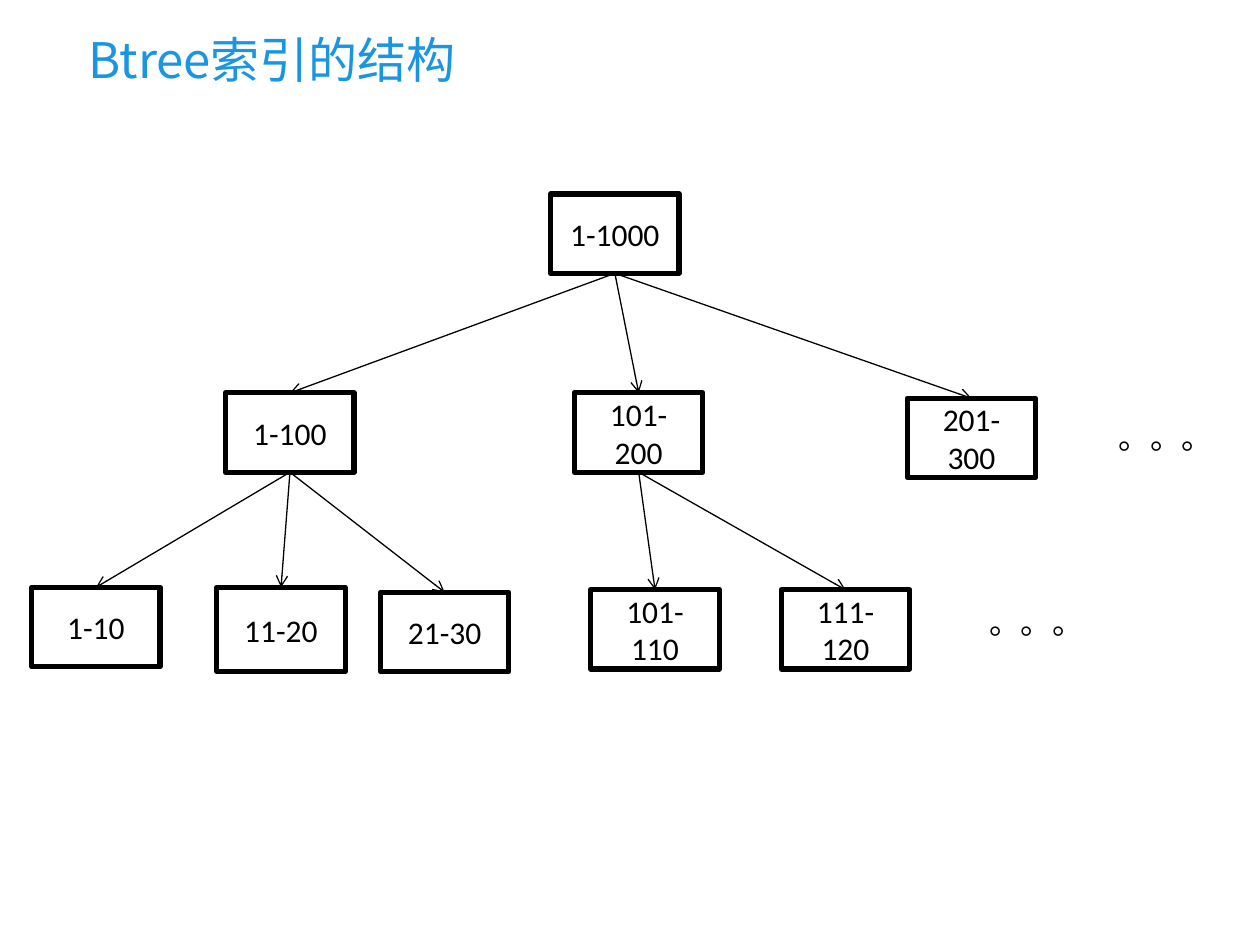
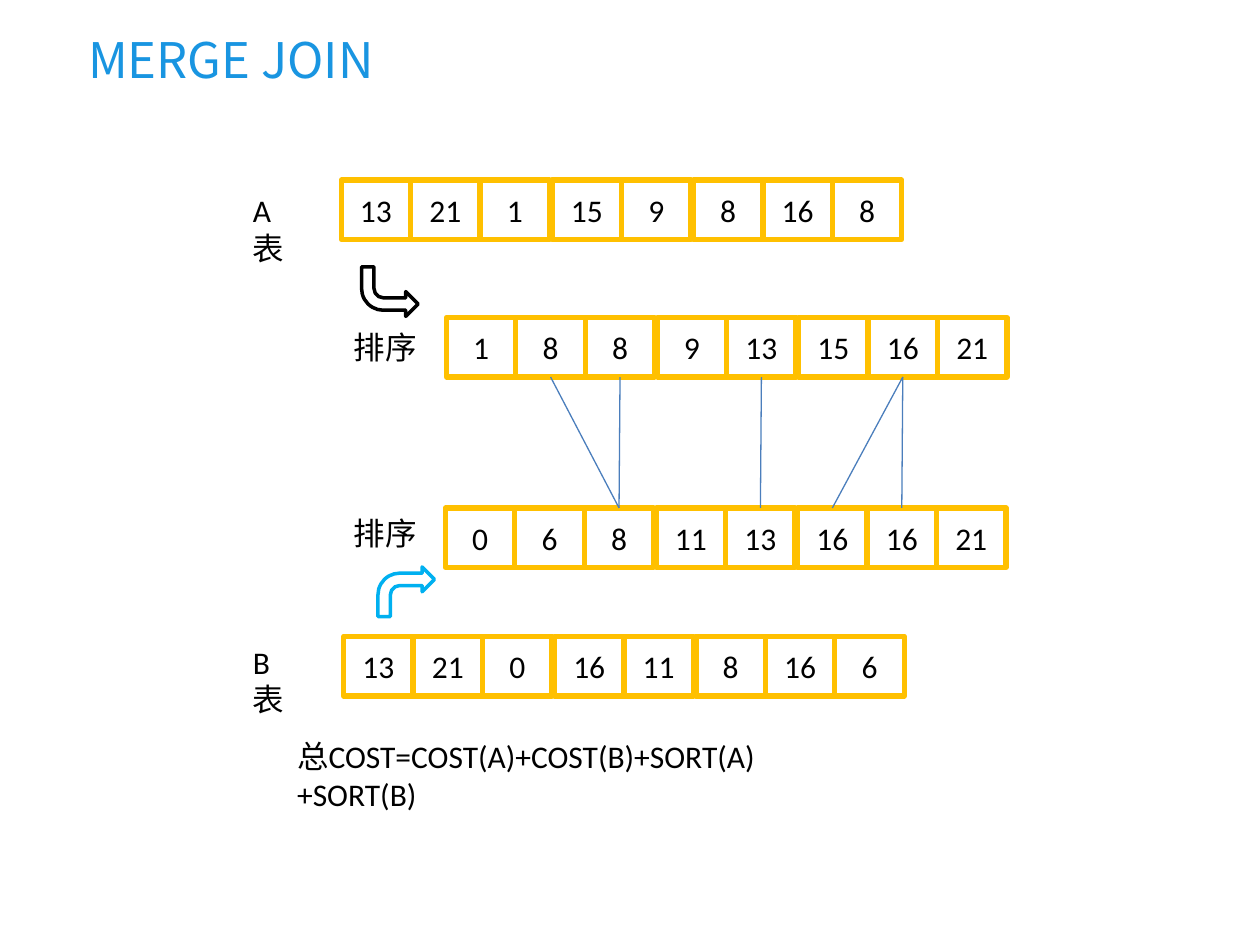
from pptx import Presentation
from pptx.dml.color import RGBColor
from pptx.enum.shapes import MSO_CONNECTOR, MSO_SHAPE
from pptx.enum.text import MSO_ANCHOR, PP_ALIGN
from pptx.oxml.ns import qn
from pptx.util import Cm, Pt
from lxml import etree

BLUE = RGBColor(0x19, 0x95, 0xE1)
SKY = RGBColor(0x00, 0xB0, 0xF0)
STEEL = RGBColor(0x4B, 0x7E, 0xBC)
GOLD = RGBColor(0xFF, 0xC0, 0x00)
BLACK = RGBColor(0x00, 0x00, 0x00)
WHITE = RGBColor(0xFF, 0xFF, 0xFF)
SANS = "Calibri"
HAN = "Noto Sans CJK SC"

RECT = MSO_SHAPE.RECTANGLE
BENT = MSO_SHAPE.BENT_ARROW
LINE = MSO_CONNECTOR.STRAIGHT
MID = MSO_ANCHOR.MIDDLE
LEFT = PP_ALIGN.LEFT
CENTER = PP_ALIGN.CENTER
TOP, BOTTOM = 0, 2

NODE_W, NODE_H = 2.59, 1.6
NODES = [
    ("1-1000", 11.1, 3.91, NODE_H),
    ("1-100", 4.55, 7.92, NODE_H),
    ("101-200", 11.58, 7.92, NODE_H),
    ("201-300", 18.29, 8.03, NODE_H),
    ("1-10", 0.64, 11.84, NODE_H),
    ("11-20", 4.37, 11.84, 1.7),
    ("21-30", 7.67, 11.94, NODE_H),
    ("101-110", 11.91, 11.89, NODE_H),
    ("111-120", 15.75, 11.89, NODE_H),
]
TREE = {
    "1-1000": ["1-100", "101-200", "201-300"],
    "1-100": ["1-10", "11-20", "21-30"],
    "101-200": ["101-110", "111-120"],
}
DOTS = [
    ("。。。", 22.3, 8.31, 2.44, False),
    ("。。。", 19.69, 12.04, 2.44, False),
]

CELL_W, CELL_H, GAP = 1.4, 1.2, 0.05
ROWS = {
    "A": (6.88, 3.63, [13, 21, 1, 15, 9, 8, 16, 8]),
    "A sort": (9, 6.4, [1, 8, 8, 9, 13, 15, 16, 21]),
    "B sort": (8.98, 10.24, [0, 6, 8, 11, 13, 16, 16, 21]),
    "B": (6.93, 12.83, [13, 21, 0, 16, 11, 8, 16, 6]),
}
PAIRS = [(1, 2), (2, 2), (4, 4), (6, 5), (6, 6)]
TURNS = [(7.29, 5.38, BLACK, True), (7.62, 11.43, SKY, False)]
LABELS = [
    ("A表", 4.85, 3.73, 1.4, True),
    ("B表", 4.85, 12.83, 1.4, True),
    ("排序", 6.88, 6.48, 1.8, False),
    ("排序", 6.88, 10.24, 1.8, False),
    ("总COST=COST(A)+COST(B)+SORT(A)+SORT(B)", 5.74, 14.73, 12, True),
]


def write(frame, text, size=18, font=SANS, color=BLACK, align=LEFT):
    para = frame.paragraphs[0]
    para.alignment = align
    run = para.add_run()
    run.text = text
    run.font.size = Pt(size)
    run.font.name = font
    run.font.color.rgb = color
    east = etree.SubElement(run.font._element, qn("a:ea"))
    east.set("typeface", HAN)


def start(deck, text):
    slide = deck.slides.add_slide(deck.slide_layouts[5])
    title = slide.shapes.title
    title.left, title.top = Cm(1.52), Cm(0.46)
    title.width, title.height = Cm(10.41), Cm(1.45)
    title.text_frame.vertical_anchor = MID
    write(title.text_frame, text, 28, HAN, BLUE)
    return slide


def label(slide, text, x, y, w, wrap):
    box = slide.shapes.add_textbox(Cm(x), Cm(y), Cm(w), Cm(1.02))
    box.text_frame.word_wrap = wrap
    write(box.text_frame, text)


def block(slide, text, x, y, w, h, color):
    box = slide.shapes.add_shape(RECT, Cm(x), Cm(y), Cm(w), Cm(h))
    box.shadow.inherit = False
    box.fill.solid()
    box.fill.fore_color.rgb = WHITE
    box.line.color.rgb = color
    box.line.width = Pt(3)
    box.text_frame.word_wrap = True
    box.text_frame.vertical_anchor = MID
    write(box.text_frame, text, align=CENTER)
    return box


def link(slide, upper, lower, color, arrow=False):
    line = slide.shapes.add_connector(LINE, 0, 0, 0, 0)
    line.begin_connect(upper, BOTTOM)
    line.end_connect(lower, TOP)
    line.line.color.rgb = color
    line.line.width = Pt(0.75)
    props = line._element.spPr
    if arrow:
        tail = etree.SubElement(props.find(qn("a:ln")), qn("a:tailEnd"))
        tail.set("type", "arrow")
    etree.SubElement(props, qn("a:effectLst"))


def turn(slide, x, y, color, flip):
    bent = slide.shapes.add_shape(BENT, Cm(x), Cm(y), Cm(1.14), Cm(1))
    bent.shadow.inherit = False
    bent.fill.background()
    bent.line.color.rgb = color
    bent.line.width = Pt(2)
    if flip:
        bent._element.spPr.find(qn("a:xfrm")).set("flipV", "1")


def row(slide, x, y, nums):
    cells = []
    for i, num in enumerate(nums):
        shift = i * CELL_W + GAP * ((i >= 3) + (i >= 5))
        cells.append(block(slide, str(num), x + shift, y, CELL_W, CELL_H, GOLD))
    return cells


def tree_slide(deck):
    slide = start(deck, "Btree索引的结构")
    boxes = {text: block(slide, text, x, y, NODE_W, h, BLACK)
             for text, x, y, h in NODES}
    for root, kids in TREE.items():
        for kid in kids:
            link(slide, boxes[root], boxes[kid], BLACK, arrow=True)
    for dots in DOTS:
        label(slide, *dots)


def merge_slide(deck):
    slide = start(deck, "MERGE JOIN")
    rows = {name: row(slide, *data) for name, data in ROWS.items()}
    for a, b in PAIRS:
        link(slide, rows["A sort"][a], rows["B sort"][b], STEEL)
    for data in TURNS:
        turn(slide, *data)
    for data in LABELS:
        label(slide, *data)


def main():
    deck = Presentation()
    deck.slide_width, deck.slide_height = Cm(25.4), Cm(19.05)
    tree_slide(deck)
    merge_slide(deck)
    deck.save("out.pptx")


if __name__ == "__main__":
    main()
